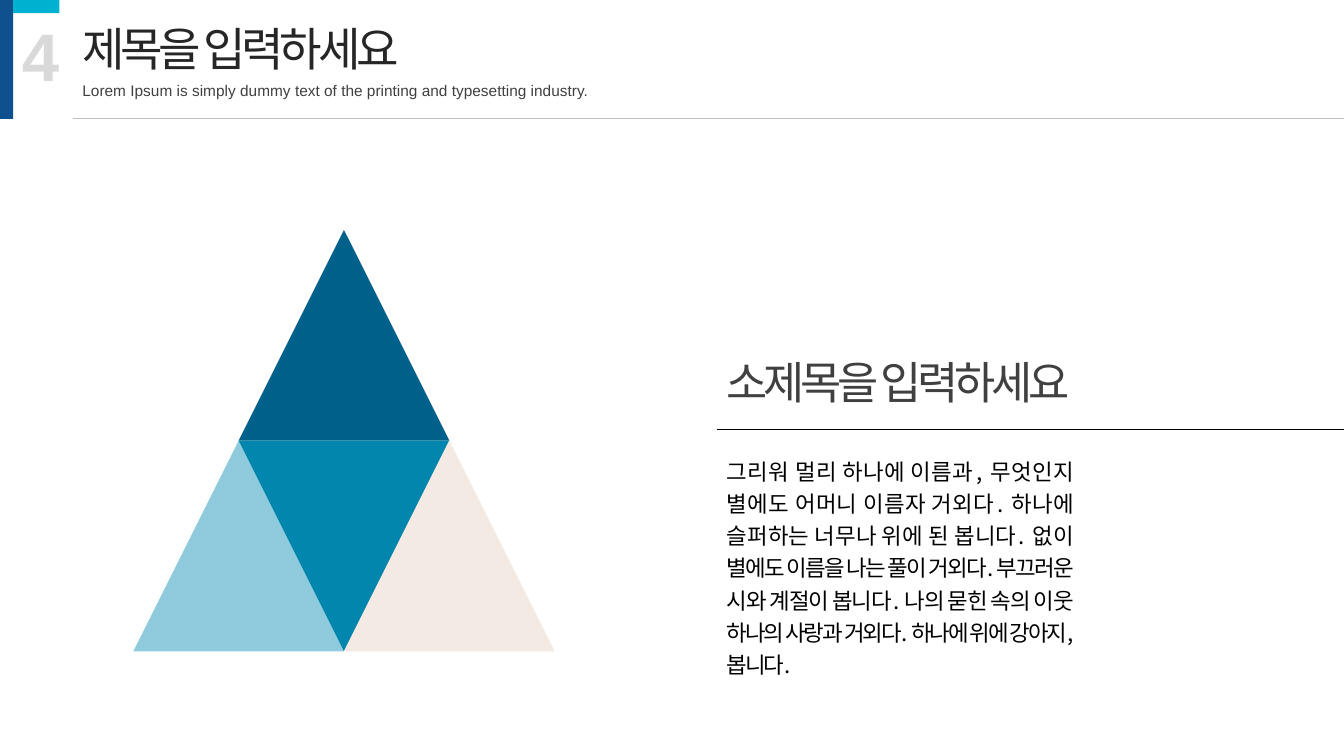
import lxml.etree
import pptx
import pptx.dml.color
import pptx.enum.shapes
import pptx.enum.text
import pptx.oxml.ns
import pptx.util

Pt = pptx.util.Pt
SHAPES = pptx.enum.shapes.MSO_SHAPE
COLORS = {
    "navy": "0F518E", "cyan": "01B1D0", "deep": "00608A", "teal": "0286AD",
    "sky": "90CBDD", "cream": "F2EAE3", "black": "000000", "title": "262626",
    "gray": "404040", "number": "D9D9D9", "rule": "BFBFBF",
}
KOREAN_FONT = "Noto Sans CJK KR"
LATIN_FONT = "Arial"


def rgb(name):
    return pptx.dml.color.RGBColor.from_string(COLORS[name])


def add_text(paragraph, text, size, color, font=LATIN_FONT, bold=False, spacing=0):
    run = paragraph.add_run()
    run.text = text
    run.font.size = Pt(size)
    run.font.bold = bold
    run.font.name = font
    run.font.color.rgb = rgb(color)
    properties = run._r.get_or_add_rPr()
    if spacing:
        properties.set("spc", str(round(spacing * 100)))
    east_asian = lxml.etree.SubElement(properties, pptx.oxml.ns.qn("a:ea"))
    east_asian.set("typeface", KOREAN_FONT)


class SlideBuilder:
    def __init__(self, slide):
        self.slide = slide

    def shape(self, kind, left, top, width, height, color, rotation=0):
        shape = self.slide.shapes.add_shape(kind, Pt(left), Pt(top), Pt(width), Pt(height))
        shape.shadow.inherit = False
        shape.fill.solid()
        shape.fill.fore_color.rgb = rgb(color)
        shape.line.fill.background()
        shape.rotation = rotation

    def line(self, left, top, right, color):
        connector = self.slide.shapes.add_connector(
            pptx.enum.shapes.MSO_CONNECTOR.STRAIGHT, Pt(left), Pt(top), Pt(right), Pt(top))
        connector.line.color.rgb = rgb(color)
        connector.line.width = Pt(0.5)
        lxml.etree.SubElement(connector._element.spPr, pptx.oxml.ns.qn("a:effectLst"))

    def text(self, left, top, width, height, text, wrap=False, justify=False,
             line_spacing=None, **text_format):
        box = self.slide.shapes.add_textbox(Pt(left), Pt(top), Pt(width), Pt(height))
        frame = box.text_frame
        frame.word_wrap = wrap
        frame.auto_size = pptx.enum.text.MSO_AUTO_SIZE.SHAPE_TO_FIT_TEXT
        paragraph = frame.paragraphs[0]
        if justify:
            paragraph.alignment = pptx.enum.text.PP_ALIGN.JUSTIFY
        if line_spacing:
            paragraph.line_spacing = line_spacing
        add_text(paragraph, text, **text_format)


def main():
    presentation = pptx.Presentation()
    presentation.slide_width = Pt(960)
    presentation.slide_height = Pt(540)
    builder = SlideBuilder(presentation.slides.add_slide(presentation.slide_layouts[6]))

    side, pyramid_left, pyramid_top = 150.5, 95.2, 164.2
    triangles = [
        (1, 0, "deep", 0), (0, 1, "sky", 0), (1, 1, "teal", 180), (2, 1, "cream", 0),
    ]
    for half_steps, row, color, rotation in triangles:
        builder.shape(SHAPES.ISOSCELES_TRIANGLE, pyramid_left + half_steps * side / 2,
                      pyramid_top + row * side, side, side, color, rotation)

    builder.text(
        512, 319.7, 260.6, 145.4,
        "그리워 멀리 하나에 이름과, 무엇인지 별에도 어머니 이름자 거외다. "
        "하나에 슬퍼하는 너무나 위에 된 봅니다. 없이 별에도 이름을 나는 풀이 거외다. "
        "부끄러운 시와 계절이 봅니다. 나의 묻힌 속의 이웃 하나의 사랑과 거외다. "
        "하나에 위에 강아지, 봅니다.",
        wrap=True, justify=True, line_spacing=1.2,
        size=16, color="black", font=KOREAN_FONT, spacing=-1.5)
    builder.text(512, 249.8, 275, 46.1, "소제목을 입력하세요",
                 size=32, color="gray", font=KOREAN_FONT, spacing=-3)
    builder.line(512, 306.7, 960, "black")

    builder.shape(SHAPES.RECTANGLE, 0, 0, 9.4, 85, "navy")
    builder.shape(SHAPES.RECTANGLE, 9.4, 0, 33, 9.4, "cyan")
    builder.text(51.8, 10.8, 247, 48.2, "제목을 입력하세요", wrap=True,
                 size=33, color="title", spacing=-3)
    builder.text(51.8, 54.7, 383.8, 20.9,
                 "Lorem Ipsum is simply dummy text of the printing and typesetting industry.",
                 size=11, color="gray")
    builder.text(8.6, 6.5, 41.8, 65.5, "4", size=48, color="number", bold=True)
    builder.line(51.8, 84.5, 960, "rule")

    presentation.save("out.pptx")


if __name__ == "__main__":
    main()
